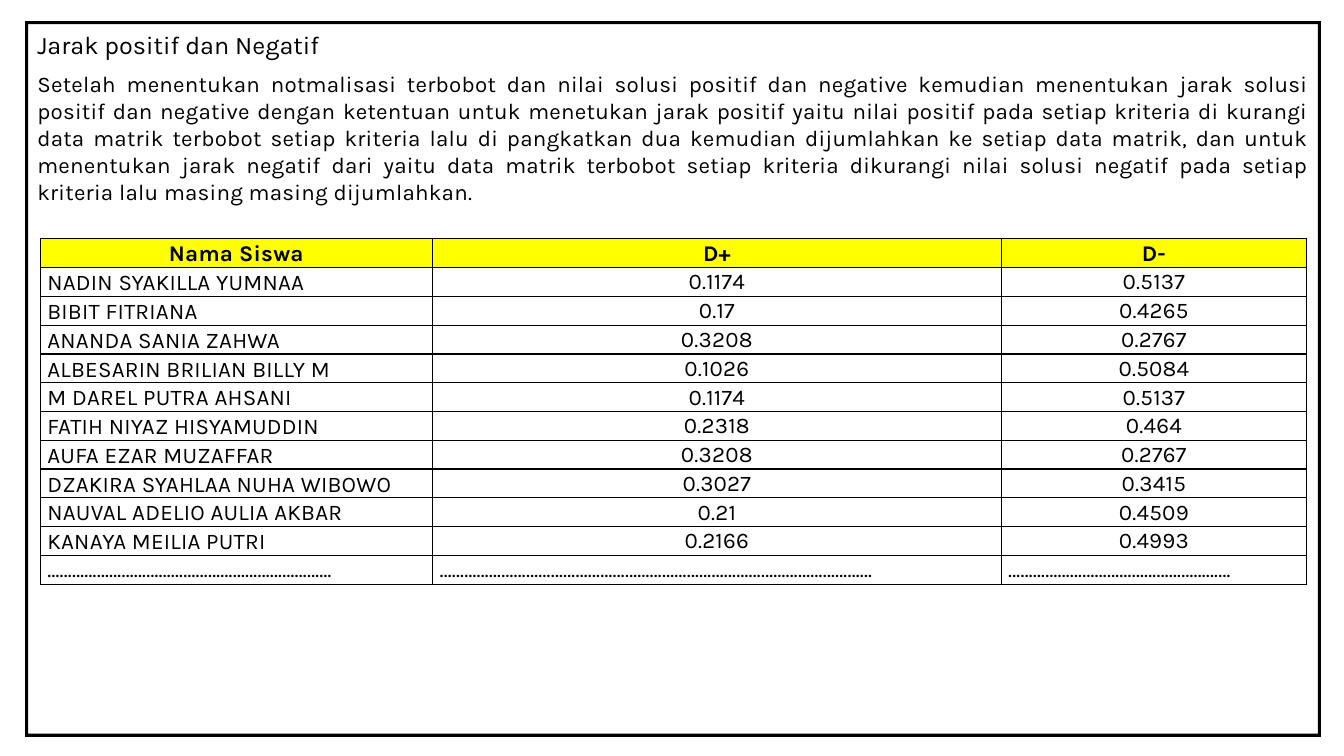
from lxml.etree import SubElement
from pptx import Presentation
from pptx.dml.color import RGBColor
from pptx.enum.text import MSO_ANCHOR, MSO_AUTO_SIZE, PP_ALIGN
from pptx.oxml.ns import qn
from pptx.util import Inches, Pt

COLORS = {"ink": "000000", "header": "FFFF00"}
FONT = "Karla"
TITLE = "Jarak positif dan Negatif"
EXPLANATION = (
    "Setelah menentukan notmalisasi terbobot dan nilai solusi positif dan negative "
    "kemudian menentukan jarak solusi positif dan negative dengan ketentuan untuk "
    "menetukan jarak positif yaitu nilai positif pada setiap kriteria di kurangi data "
    "matrik terbobot setiap kriteria lalu di pangkatkan dua kemudian dijumlahkan ke "
    "setiap data matrik, dan untuk menentukan jarak negatif dari yaitu data matrik "
    "terbobot setiap kriteria dikurangi nilai solusi negatif pada setiap kriteria lalu "
    "masing masing dijumlahkan."
)
COLUMN_WIDTHS = (3.89, 5.64, 3.03)
DISTANCES = [
    ("Nama Siswa", "D+", "D-"),
    ("NADIN SYAKILLA YUMNAA", "0.1174", "0.5137"),
    ("BIBIT FITRIANA", "0.17", "0.4265"),
    ("ANANDA SANIA ZAHWA", "0.3208", "0.2767"),
    ("ALBESARIN BRILIAN BILLY M", "0.1026", "0.5084"),
    ("M DAREL PUTRA AHSANI", "0.1174", "0.5137"),
    ("FATIH NIYAZ HISYAMUDDIN", "0.2318", "0.464"),
    ("AUFA EZAR MUZAFFAR", "0.3208", "0.2767"),
    ("DZAKIRA SYAHLAA NUHA WIBOWO", "0.3027", "0.3415"),
    ("NAUVAL ADELIO AULIA AKBAR", "0.21", "0.4509"),
    ("KANAYA MEILIA PUTRI", "0.2166", "0.4993"),
    (
        "……………………………………………………………",
        "……………………………………………………………………………………………",
        "………………………………………………",
    ),
]


def format_paragraph(paragraph, size, alignment, bold=False, spacing=0):
    """Set the font, alignment and letter spacing of a paragraph."""
    paragraph.alignment = alignment
    paragraph.font.name = FONT
    paragraph.font.size = Pt(size)
    paragraph.font.bold = bold
    paragraph.font.color.rgb = RGBColor.from_string(COLORS["ink"])
    for run in paragraph.runs:
        run._r.get_or_add_rPr().set("spc", str(int(spacing * 100)))


def fill_placeholder(placeholder, box, text, size, alignment, wrap, spacing=0):
    """Place a placeholder in the box and write one plain paragraph in it."""
    placeholder.left, placeholder.top, placeholder.width, placeholder.height = map(Inches, box)
    frame = placeholder.text_frame
    frame.text = text
    frame.word_wrap = wrap
    frame.auto_size = MSO_AUTO_SIZE.SHAPE_TO_FIT_TEXT
    frame.vertical_anchor = MSO_ANCHOR.TOP
    paragraph = frame.paragraphs[0]
    properties = paragraph._p.get_or_add_pPr()
    properties.set("marL", "0")
    properties.set("indent", "0")
    SubElement(properties, qn("a:buNone"))
    paragraph.space_before = Pt(0)
    format_paragraph(paragraph, size, alignment, spacing=spacing)


def add_borders(cell):
    """Draw a thin line on all four sides of a cell."""
    properties = cell._tc.get_or_add_tcPr()
    for side in ("lnL", "lnR", "lnT", "lnB"):
        line = SubElement(properties, qn(f"a:{side}"), w=str(Pt(1)))
        fill = SubElement(line, qn("a:solidFill"))
        SubElement(fill, qn("a:srgbClr"), val=COLORS["ink"])


def add_distance_table(slide, box):
    """Add the table of positive and negative distances in the box."""
    left, top, width, height = map(Inches, box)
    row_count = len(DISTANCES)
    table = slide.shapes.add_table(
        row_count, len(COLUMN_WIDTHS), left, top, width, height
    ).table
    table.first_row = table.horz_banding = False
    for column, column_width in zip(table.columns, COLUMN_WIDTHS):
        column.width = Inches(column_width)
    for row_index, values in enumerate(DISTANCES):
        table.rows[row_index].height = height // row_count
        is_header = row_index == 0
        is_last = row_index == row_count - 1
        for column_index, value in enumerate(values):
            cell = table.cell(row_index, column_index)
            is_name = column_index == 0 and not is_header
            cell.text = value
            cell.margin_left = cell.margin_right = Inches(0.07)
            cell.margin_top = cell.margin_bottom = 0
            cell.vertical_anchor = (
                MSO_ANCHOR.BOTTOM if is_name and not is_last else MSO_ANCHOR.TOP
            )
            add_borders(cell)
            if is_header:
                cell.fill.solid()
                cell.fill.fore_color.rgb = RGBColor.from_string(COLORS["header"])
            else:
                cell.fill.background()
            paragraph = cell.text_frame.paragraphs[0]
            paragraph.line_spacing = 1.07
            alignment = PP_ALIGN.LEFT if is_name or is_last else PP_ALIGN.CENTER
            format_paragraph(paragraph, 16, alignment, is_header, 0.2)


def add_frame(slide, box, thickness):
    """Add a hollow border of the given thickness around the box."""
    left, top, width, height = map(Inches, box)
    edge = Inches(thickness)
    right, bottom = left + width, top + height
    builder = slide.shapes.build_freeform(left, top)
    builder.add_line_segments([(left, bottom), (right, bottom), (right, top)])
    builder.move_to(right - edge, bottom - edge)
    builder.add_line_segments(
        [(left + edge, bottom - edge), (left + edge, top + edge), (right - edge, top + edge)]
    )
    frame = builder.convert_to_shape()
    frame.shadow.inherit = False
    frame.fill.solid()
    frame.fill.fore_color.rgb = RGBColor.from_string(COLORS["ink"])
    frame.line.fill.background()


def build_distance_slide(presentation):
    """Build the slide with the explanation and the distance table."""
    slide = presentation.slides.add_slide(presentation.slide_layouts[1])
    fill_placeholder(
        slide.shapes.title, (0.27, 0.24, 3.18, 0.4), TITLE, 18, PP_ALIGN.LEFT, False
    )
    fill_placeholder(
        slide.placeholders[1], (0.27, 0.65, 12.83, 1.45), EXPLANATION, 16,
        PP_ALIGN.JUSTIFY, True, 0.2,
    )
    add_distance_table(slide, (0.4, 2.37, sum(COLUMN_WIDTHS), 3.42))
    add_frame(slide, (0.25, 0.21, 12.85, 7.1), 0.03)


def main():
    """Create and save the presentation."""
    presentation = Presentation()
    presentation.slide_width = Inches(13.33)
    presentation.slide_height = Inches(7.5)
    build_distance_slide(presentation)
    presentation.save("out.pptx")


if __name__ == "__main__":
    main()
